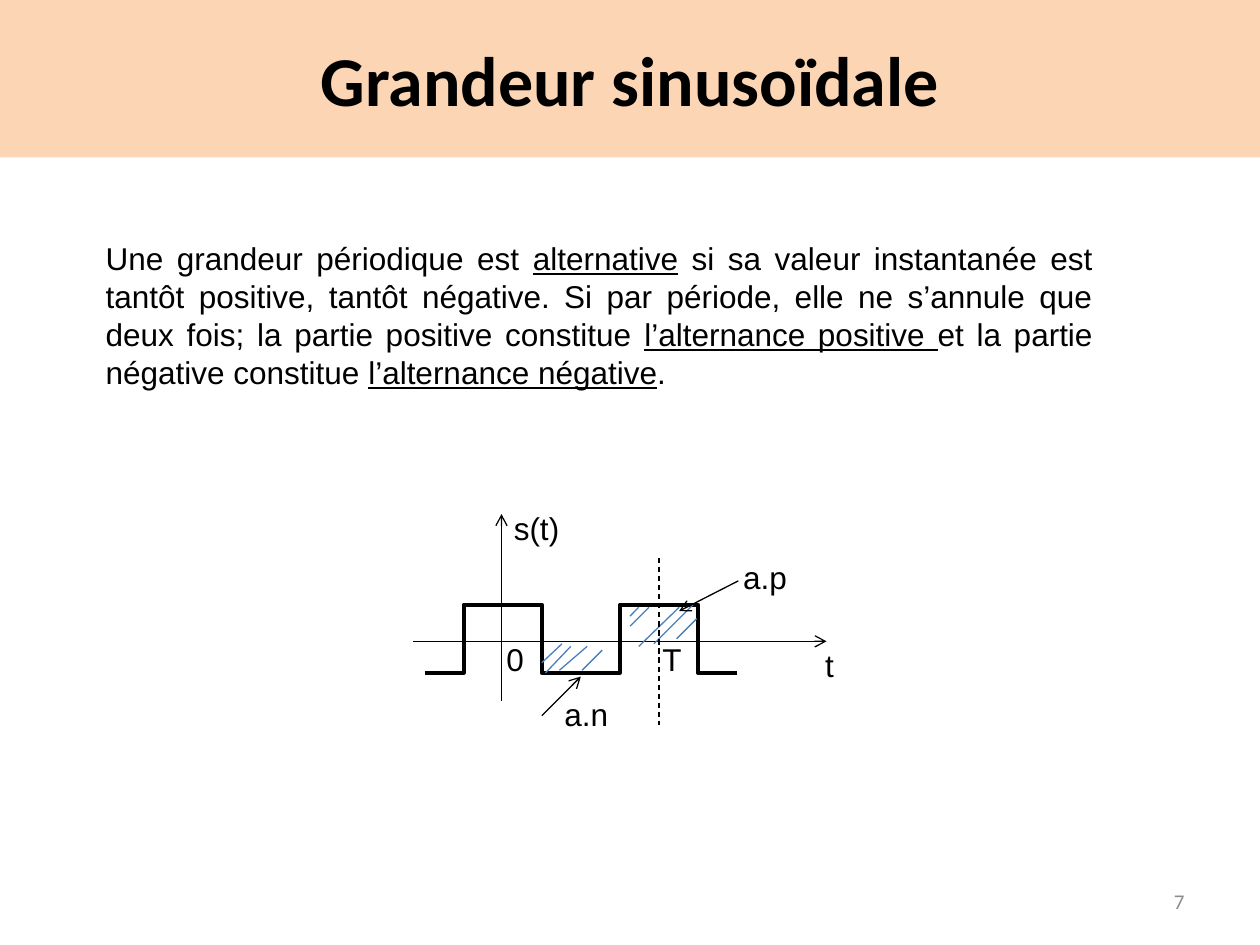
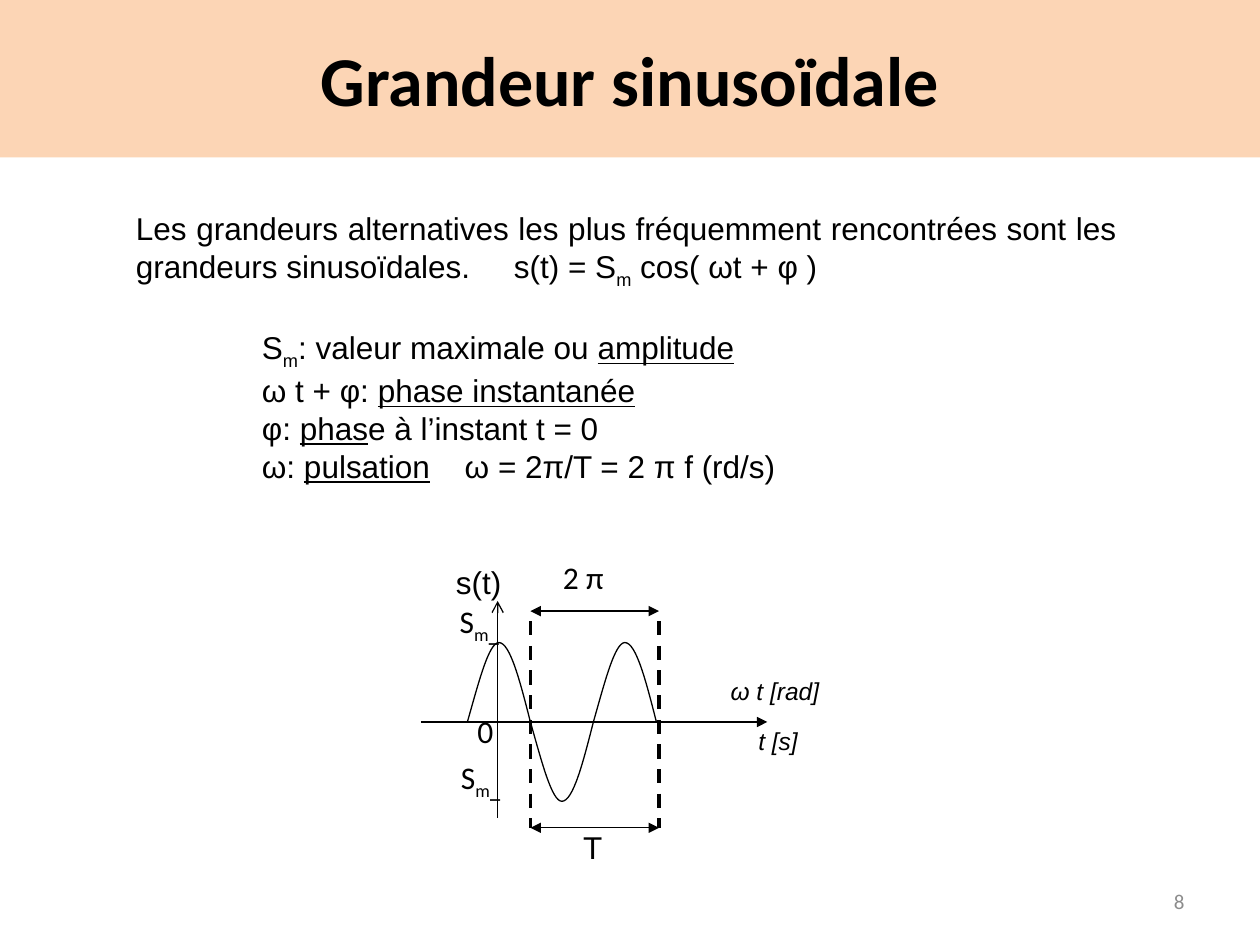
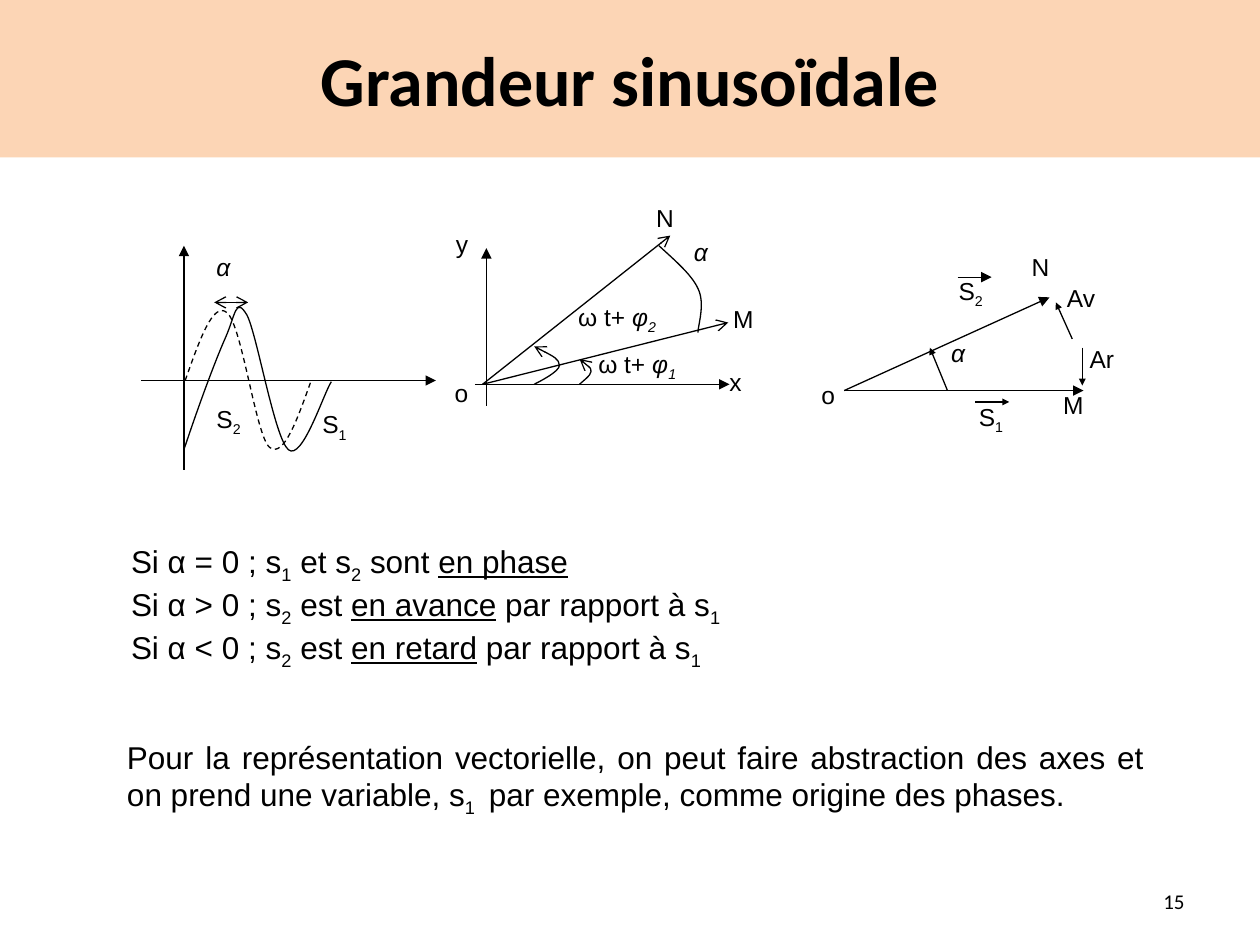
from dataclasses import dataclass

from pptx import Presentation
from pptx.dml.color import RGBColor
from pptx.enum.dml import MSO_LINE
from pptx.enum.shapes import MSO_CONNECTOR, MSO_SHAPE
from pptx.enum.text import MSO_ANCHOR, MSO_AUTO_SIZE, PP_ALIGN
from pptx.oxml.ns import qn
from pptx.oxml.xmlchemy import OxmlElement
from pptx.util import Inches, Pt

STRAIGHT, ELBOW = MSO_CONNECTOR.STRAIGHT, MSO_CONNECTOR.ELBOW
RECTANGLE = MSO_SHAPE.RECTANGLE
LEFT, CENTER, RIGHT, JUSTIFY = PP_ALIGN.LEFT, PP_ALIGN.CENTER, PP_ALIGN.RIGHT, PP_ALIGN.JUSTIFY
TOP, MIDDLE = MSO_ANCHOR.TOP, MSO_ANCHOR.MIDDLE
FIT_SHAPE = MSO_AUTO_SIZE.SHAPE_TO_FIT_TEXT
DASH = MSO_LINE.DASH
TITLE_ONLY = 5


@dataclass(frozen=True)
class Theme:
    ink: str = "000000"
    paper: str = "FFFFFF"
    band: str = "FCD5B5"
    hatch: str = "4B7EBC"
    muted: str = "8C8C8C"
    body_font: str = "Arial"
    title_font: str = "Calibri"
    title_size: int = 40
    tick_size: int = 20
    body_size: int = 18
    label_size: int = 14
    number_size: int = 12
    thin: float = 0.75
    medium: float = 2
    thick: float = 2.25


THEME = Theme()


# Text helpers
def under(text):
    return text, "u"


def sub(text):
    return text, "s"


def italic(text):
    return text, "i"


def set_font(font, name, size, color):
    font.name = name
    font.size = Pt(size)
    font.color.rgb = RGBColor.from_string(color)


def set_tabs(paragraph, positions):
    tabs = OxmlElement("a:tabLst")
    for position in positions:
        tab = OxmlElement("a:tab")
        tab.set("pos", str(Inches(position)))
        tab.set("algn", "l")
        tabs.append(tab)
    paragraph._p.get_or_add_pPr().insert_element_before(tabs, "a:defRPr")


def add_runs(paragraph, pieces):
    """Style flags: u underline, i italic, s subscript, t axis tick."""
    for piece in pieces:
        text, flags = (piece, "") if isinstance(piece, str) else piece
        run = paragraph.add_run()
        run.text = text
        if "u" in flags:
            run.font.underline = True
        if "i" in flags:
            run.font.italic = True
        if "t" in flags:
            run.font.bold = True
            run.font.size = Pt(THEME.tick_size)
        if "s" in flags:
            run._r.get_or_add_rPr().set("baseline", "-25000")


def write(shape, paragraphs, font=THEME.body_font, size=THEME.body_size,
          color=THEME.ink, align=LEFT, anchor=TOP, wrap=True, tabs=()):
    frame = shape.text_frame
    frame.word_wrap = wrap
    frame.vertical_anchor = anchor
    for index, pieces in enumerate(paragraphs):
        paragraph = frame.add_paragraph() if index else frame.paragraphs[0]
        paragraph.alignment = align
        set_font(paragraph.font, font, size, color)
        if tabs:
            set_tabs(paragraph, tabs)
        add_runs(paragraph, pieces)
    return frame


def add_text(shapes, box, paragraphs, **style):
    return write(shapes.add_textbox(*map(Inches, box)), paragraphs, **style)


# Line helpers
def style_line(shape, color, width, dash, head, tail, head_size="med"):
    shape.line.color.rgb = RGBColor.from_string(color)
    shape.line.width = Pt(width)
    if dash:
        shape.line.dash_style = dash
    properties = shape._element.spPr
    for tag, kind in (("a:headEnd", head), ("a:tailEnd", tail)):
        if kind:
            end = OxmlElement(tag)
            end.set("type", kind)
            end.set("w", head_size)
            end.set("len", head_size)
            properties.find(qn("a:ln")).append(end)
    properties.append(OxmlElement("a:effectLst"))


def round_segments(shape):
    """Turn each three straight segments into one cubic segment."""
    outline = next(shape._element.iter(qn("a:path")))
    segments = outline.findall(qn("a:lnTo"))
    for first in range(0, len(segments), 3):
        cubic = OxmlElement("a:cubicBezTo")
        for segment in segments[first:first + 3]:
            cubic.append(segment[0])
            outline.remove(segment)
        outline.append(cubic)


class Figure:
    """A grouped drawing whose parts are placed from its left top corner."""

    def __init__(self, slide, left, top):
        self.shapes = slide.shapes.add_group_shape().shapes
        self.left, self.top = left, top

    def place(self, point):
        return Inches(self.left + point[0]), Inches(self.top + point[1])

    def line(self, start, end, tail=None, head=None, color=THEME.ink,
             width=THEME.thin, dash=None, kind=STRAIGHT, head_size="med"):
        connector = self.shapes.add_connector(kind, *self.place(start), *self.place(end))
        style_line(connector, color, width, dash, head, tail, head_size)

    def curve(self, points, head=None, dash=None):
        """Points are a start, then two controls and an end per segment."""
        start, *others = [self.place(point) for point in points]
        builder = self.shapes.build_freeform(*start)
        builder.add_line_segments(others, close=False)
        shape = builder.convert_to_shape()
        round_segments(shape)
        shape.fill.background()
        style_line(shape, THEME.ink, THEME.thin, dash, head, None)

    def label(self, pieces, x, y, width, height=0.4, **style):
        box = (self.left + x, self.top + y, width, height)
        add_text(self.shapes, box, [pieces], wrap=False, **style).auto_size = FIT_SHAPE

    def plate(self, pieces, x, y, width, height, **style):
        shape = self.shapes.add_shape(RECTANGLE, *self.place((x, y)),
                                      Inches(width), Inches(height))
        shape.shadow.inherit = False
        shape.fill.solid()
        shape.fill.fore_color.rgb = RGBColor.from_string(THEME.paper)
        shape.line.fill.background()
        write(shape, [pieces], **style)


# Shared slide frame
def add_slide(presentation, number, number_color=THEME.muted):
    slide = presentation.slides.add_slide(presentation.slide_layouts[TITLE_ONLY])
    title = slide.shapes.title
    title.left, title.top, title.width, title.height = map(Inches, (0, 0, 10, 1.25))
    title.fill.solid()
    title.fill.fore_color.rgb = RGBColor.from_string(THEME.band)
    frame = write(title, [["Grandeur sinusoïdale"]], font=THEME.title_font,
                  size=THEME.title_size, align=CENTER, anchor=MIDDLE)
    frame.paragraphs[0].font.bold = True
    add_text(slide.shapes, (7.17, 6.95, 2.33, 0.4), [[str(number)]], font=THEME.title_font,
             size=THEME.number_size, color=number_color, align=RIGHT, anchor=MIDDLE)
    return slide


# Alternating square signal
def draw_square_signal(slide, left, top):
    figure = Figure(slide, left, top)
    figure.line((0.08, 1.09), (3.36, 1.09), tail="arrow")
    figure.line((0.78, 1.56), (0.78, 0.08), tail="arrow")

    low, high, half_period = 1.34, 0.8, 0.62
    corners = [(0.17 + half_period * i, high if i % 2 else low) for i in range(5)]
    for start, end in zip(corners, corners[1:]):
        figure.line(start, end, width=THEME.thick, kind=ELBOW)

    positive_hatch = [((1.8, 0.89), (1.87, 0.82)), ((1.8, 0.97), (1.95, 0.82)),
                      ((1.87, 1.13), (2.19, 0.82)), ((1.99, 1.11), (2.3, 0.8)),
                      ((2.17, 1.07), (2.33, 0.91))]
    negative_hatch = [((1.42, 1.32), (1.58, 1.16)), ((1.24, 1.32), (1.46, 1.13)),
                      ((1.13, 1.34), (1.33, 1.13)), ((1.1, 1.26), (1.26, 1.11))]
    for start, end in positive_hatch + negative_hatch:
        figure.line(start, end, color=THEME.hatch)

    figure.line((2.03, 0.43), (2.03, 1.75), dash=DASH)
    figure.line((2.66, 0.61), (2.19, 0.85), tail="arrow")
    figure.line((1.1, 1.68), (1.41, 1.37), tail="arrow")
    for text, x, y, width in (("0", 0.72, 1.03, 0.34), ("T", 1.96, 1.03, 0.36),
                              ("t", 3.25, 1.08, 0.27), ("s(t)", 0.78, -0.01, 0.57),
                              ("a.p", 2.6, 0.38, 0.55), ("a.n", 1.18, 1.47, 0.55)):
        figure.label([text], x, y, width)


# Cosine with its period and amplitude
def draw_cosine(slide, left, top):
    figure = Figure(slide, left, top)
    axis, amplitude, arch = 1.33, 0.63, 0.5
    figure.line((0.04, axis), (2.79, axis), tail="triangle")
    figure.line((0.65, 2.09), (0.65, 0.37), tail="arrow")
    profile = [(0, 0), (0.09, 0.5), (0.17, 1), (0.25, 1), (0.34, 1), (0.42, 0.5), (0.5, 0)]
    for index, sign in enumerate((-1, 1, -1)):
        figure.curve([(0.41 + arch * index + x, axis + sign * amplitude * y)
                      for x, y in profile])

    start, end, bottom = 0.91, 1.93, 2.17
    for x in (start, end):
        figure.line((x, 0.53), (x, bottom), width=THEME.medium, dash=DASH)
    for y in (0.45, bottom):
        figure.line((start, y), (end, y), head="triangle", tail="triangle")

    maximum = ["S", sub("m"), ("_", "st")]
    for pieces, x, y, width, height in ((maximum, 0.25, 0.3, 0.55, 0.44),
                                        (maximum, 0.26, 1.54, 0.55, 0.44),
                                        (["2 π"], 1.07, -0.02, 0.63, 0.4),
                                        (["0"], 0.39, 1.2, 0.33, 0.44)):
        figure.label(pieces, x, y, width, height, font=THEME.title_font)
    figure.label(["s(t)"], 0.22, 0.02, 0.57)
    figure.label(["T"], 1.23, 2.12, 0.36)
    for text, x, y, width in (("t [s]", 2.62, 1.31, 0.57), ("ω t [rad]", 2.4, 0.92, 0.96)):
        figure.label([italic(text)], x, y, width, 0.34, size=THEME.label_size)


# Two shifted waves
def draw_shifted_waves(slide, left, top):
    figure = Figure(slide, left, top)
    figure.line((0.36, 1.83), (0.36, 0.05), tail="triangle")
    figure.line((0.02, 1.12), (2.36, 1.12), tail="triangle")
    figure.curve([(0.37, 1.12), (0.48, 0.81), (0.59, 0.49), (0.7, 0.58),
                  (0.82, 0.67), (0.93, 1.56), (1.04, 1.65),
                  (1.15, 1.74), (1.26, 1.43), (1.37, 1.12)], dash=DASH)
    figure.curve([(0.36, 1.67), (0.48, 1.31), (0.61, 0.96), (0.69, 0.78),
                  (0.77, 0.6), (0.77, 0.45), (0.86, 0.6),
                  (0.94, 0.75), (1.08, 1.58), (1.19, 1.67),
                  (1.3, 1.76), (1.47, 1.22), (1.53, 1.13)])
    figure.plate([italic("α")], 0.52, 0.05, 0.5, 0.36, size=THEME.label_size)
    figure.line((0.6, 0.5), (0.87, 0.5), head="arrow", tail="arrow")
    for index, x, y in (("2", 0.52, 1.26), ("1", 1.36, 1.3)):
        figure.label(["S", sub(index)], x, y, 0.54, 0.48, size=THEME.label_size)


# Rotating vectors
def draw_rotating_vectors(slide, left, top):
    figure = Figure(slide, left, top)
    figure.line((0.36, 1.72), (0.36, 0.47), tail="triangle")
    figure.line((0.27, 1.55), (2.29, 1.55), tail="triangle")
    for tip in ((1.82, 0.37), (2.28, 1.06)):
        figure.line((0.33, 1.55), tip, tail="arrow")
    figure.curve([(1.73, 0.45), (1.86, 0.57), (1.99, 0.68), (2.04, 0.79),
                  (2.1, 0.91), (2.04, 1.08), (2.04, 1.14)])
    figure.curve([(0.74, 1.25), (0.84, 1.3), (0.94, 1.35), (0.94, 1.4),
                  (0.94, 1.45), (0.78, 1.53), (0.74, 1.55)], head="arrow")
    figure.curve([(1.1, 1.35), (1.15, 1.38), (1.19, 1.42), (1.19, 1.45),
                  (1.19, 1.48), (1.12, 1.53), (1.1, 1.55)], head="arrow")
    for pieces, x, y, width in (([italic("α")], 1.91, 0.33, 0.36),
                                (["ω t+", italic(" φ"), ("2", "is")], 0.99, 0.85, 0.96),
                                (["ω t+", italic(" φ"), ("1", "is")], 1.15, 1.22, 0.96),
                                (["M"], 2.22, 0.86, 0.42), (["N"], 1.61, 0.06, 0.4),
                                (["x"], 2.19, 1.36, 0.35), (["o"], 0.01, 1.45, 0.36),
                                (["y"], 0.02, 0.27, 0.35)):
        figure.label(pieces, x, y, width, 0.42, size=THEME.label_size)


# Phasors without axes
def draw_phasors(slide, left, top):
    figure = Figure(slide, left, top)
    for start, end in (((0.3, 1.2), (2.2, 1.2)), ((0.3, 1.2), (1.93, 0.46)),
                       ((1.2, 0.3), (1.47, 0.3))):
        figure.line(start, end, tail="triangle")
    for start, end in (((2.11, 0.79), (1.98, 0.5)), ((2.19, 0.86), (2.19, 1.16)),
                       ((1.12, 1.2), (0.98, 0.86)), ((1.34, 1.29), (1.61, 1.29))):
        figure.line(start, end, tail="triangle", head_size="sm")
    for pieces, x, y, width in ((["o"], 0.02, 1.07, 0.34), (["S", sub("1")], 1.27, 1.24, 0.44),
                                (["S", sub("2")], 1.11, 0.24, 0.44), (["M"], 1.94, 1.15, 0.4),
                                (["N"], 1.69, 0.05, 0.37), (["Av"], 1.97, 0.3, 0.46),
                                (["Ar"], 2.15, 0.78, 0.43), ([italic("α")], 1.05, 0.73, 0.34)):
        figure.label(pieces, x, y, width, size=THEME.label_size)


# Slides
def build_alternating_slide(presentation):
    slide = add_slide(presentation, 7)
    definition = ["Une grandeur périodique est ", under("alternative"),
                  " si sa valeur instantanée est tantôt positive, tantôt négative. Si par "
                  "période, elle ne s’annule que deux fois; la partie positive constitue ",
                  under("l’alternance positive "), "et la partie négative constitue ",
                  under("l’alternance négative"), "."]
    add_text(slide.shapes, (0.74, 1.85, 8.03, 1.35), [definition], align=JUSTIFY)
    draw_square_signal(slide, 3.2, 4)


def build_sinusoidal_slide(presentation):
    slide = add_slide(presentation, 8)
    paragraphs = [["Les grandeurs alternatives les plus fréquemment rencontrées sont les "
                   "grandeurs sinusoïdales.\ts(t) = S", sub("m"), " cos( ωt + φ )"],
                  ["\tS", sub("m"), ": valeur maximale ou ", under("amplitude")],
                  ["\tω t + φ: ", under("phase instantanée")],
                  ["\tφ: ", under("phas"), "e à l’instant t = 0"],
                  ["\tω: ", under("pulsation"), "\tω = 2π/T = 2 π f (rd/s)"]]
    frame = add_text(slide.shapes, (0.98, 1.31, 7.98, 2.89), paragraphs,
                     align=JUSTIFY, tabs=(1, 2.61, 3))
    frame.margin_top = Inches(0.35)
    frame.paragraphs[1].space_before = Pt(22)
    draw_cosine(slide, 3.3, 4.4)


def build_phase_slide(presentation):
    slide = add_slide(presentation, 15, THEME.ink)
    cases = [["Si α = 0 ; s", sub("1"), " et s", sub("2"), " sont ", under("en phase")]]
    for sign, state in ((">", "en avance"), ("<", "en retard")):
        cases.append([f"Si α {sign} 0 ; s", sub("2"), " est ", under(state),
                      " par rapport à s", sub("1")])
    frame = add_text(slide.shapes, (0.44, 3.94, 9.56, 1.62), cases)
    frame.margin_left, frame.margin_top = Inches(0.6), Inches(0.36)
    conclusion = ["Pour la représentation vectorielle, on peut faire abstraction des axes et "
                  "on prend une variable, s", sub("1 "),
                  " par exemple, comme origine des phases."]
    add_text(slide.shapes, (0.91, 5.82, 8.27, 0.71), [conclusion], align=JUSTIFY, anchor=MIDDLE)
    draw_phasors(slide, 6.4, 1.9)
    draw_rotating_vectors(slide, 3.5, 1.5)
    draw_shifted_waves(slide, 1.1, 1.9)


def main():
    presentation = Presentation()
    presentation.slide_width, presentation.slide_height = Inches(10), Inches(7.5)
    build_alternating_slide(presentation)
    build_sinusoidal_slide(presentation)
    build_phase_slide(presentation)
    presentation.save("out.pptx")


if __name__ == "__main__":
    main()
